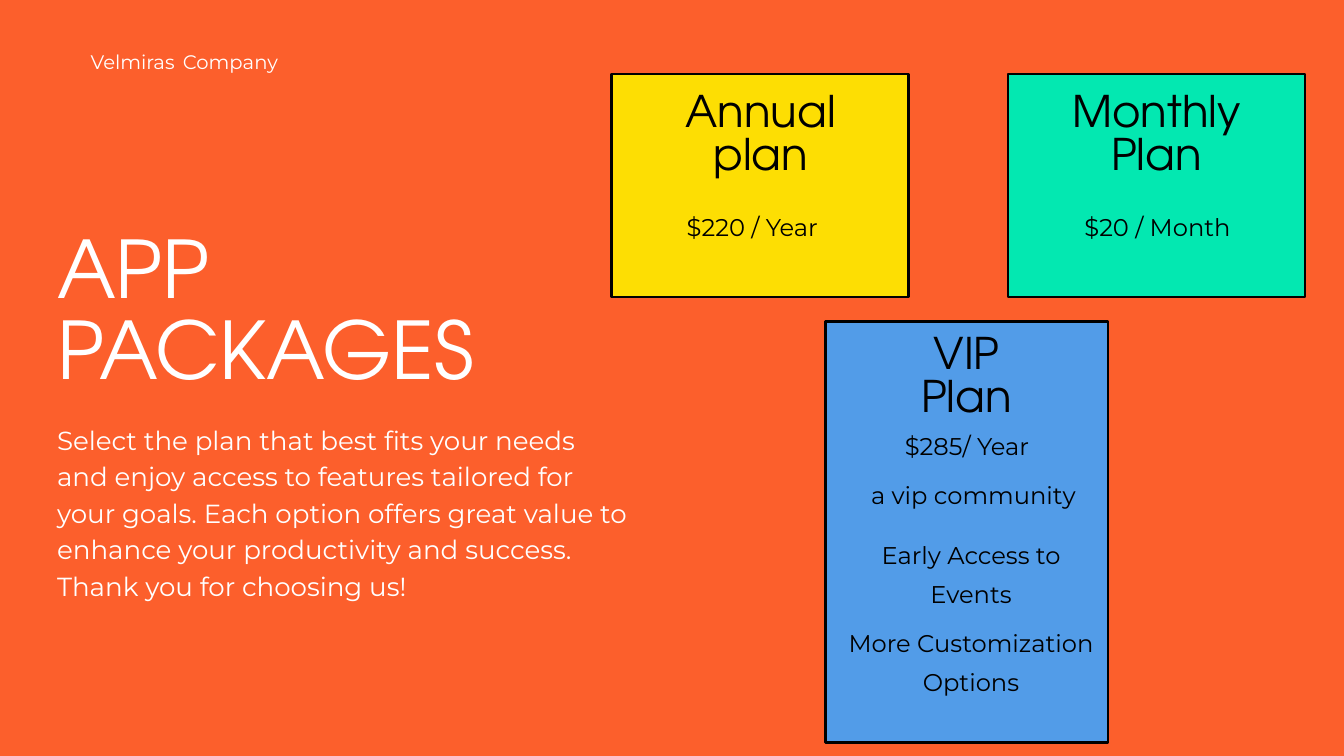
from dataclasses import dataclass

from pptx import Presentation
from pptx.dml.color import RGBColor
from pptx.enum.shapes import MSO_SHAPE as Shape
from pptx.enum.text import MSO_AUTO_SIZE as AutoSize, PP_ALIGN as Align
from pptx.util import Inches, Pt


@dataclass(frozen=True)
class Style:
    name: str
    size: float
    leading: float
    color: str
    alignment: Align = Align.LEFT


class Theme:
    orange, yellow, green, blue = "FC5F2C", "FDDE03", "03E8B1", "529CE8"
    black, white = "000000", "FFFFFF"
    display, body = "TeX Gyre Adventor", "Montserrat"
    border = 3
    heading = Style(display, 85.1, 86.8, white)
    intro = Style(body, 28, 39.2, white)
    company = Style(body, 21, 29.4, white)
    plan = Style(display, 46.7, 46.3, black, Align.CENTER)
    detail = Style(body, 25.9, 41.7, black, Align.CENTER)
    tight = Style(body, 25.9, 22.5, black, Align.CENTER)


def rgb(value):
    return RGBColor.from_string(value)


def add_text(s, box, lines, style):
    """Place one paragraph per line in a box of (left, top, width, height) inches."""
    tf = s.shapes.add_textbox(*map(Inches, box)).text_frame
    frame = dict(margin_left=0, margin_top=0, margin_right=0, margin_bottom=0,
                 word_wrap=True, auto_size=AutoSize.SHAPE_TO_FIT_TEXT)
    for key, value in frame.items():
        setattr(tf, key, value)
    for i, line in enumerate(lines):
        p = tf.paragraphs[0] if i == 0 else tf.add_paragraph()
        p.alignment = style.alignment
        p.line_spacing = Pt(style.leading)
        r = p.add_run()
        r.text = line
        for key, value in dict(name=style.name, size=Pt(style.size)).items():
            setattr(r.font, key, value)
        r.font.color.rgb = rgb(style.color)


def add_plan_card(s, box, fill, texts):
    """Draw a bordered card; each text is (offset box within the card, lines, style)."""
    left, top, _, _ = box
    card = s.shapes.add_shape(Shape.RECTANGLE, *map(Inches, box))
    card.shadow.inherit = False
    card.fill.solid()
    card.fill.fore_color.rgb = rgb(fill)
    card.line.color.rgb = rgb(Theme.black)
    card.line.width = Pt(Theme.border)
    for (dx, dy, width, height), lines, style in texts:
        add_text(s, (left + dx, top + dy, width, height), lines, style)


def add_intro(s, box):
    left, top, width, height = box
    add_text(s, (left + 0.5, top, 1.38, 0.38), ["Velmiras"], Theme.company)
    add_text(s, (left + 1.87, top, 1.83, 0.38), ["Company"], Theme.company)
    add_text(s, (left, top + 2.78, 6.77, 2.62), ["APP PACKAGES"], Theme.heading)
    add_text(s, (left, top + 5.54, width, height - 5.54), [
        "Select the plan that best fits your needs and enjoy access to features "
        "tailored for your goals. Each option offers great value to enhance your "
        "productivity and success. Thank you for choosing us!"], Theme.intro)


def add_plans(s):
    plan, detail = Theme.plan, Theme.detail
    add_plan_card(s, (15, 1.1, 4.42, 3.32), Theme.green, [
        ((0.27, 0.28, 3.88, 1.41), ["Monthly", "Plan"], plan),
        ((0.43, 1.92, 3.59, 0.54), ["$20 / Month"], detail),
    ])
    add_plan_card(s, (9.1, 1.1, 4.42, 3.32), Theme.yellow, [
        ((0.55, 0.28, 3.34, 1.41), ["Annual", "plan"], plan),
        ((0.3, 1.92, 3.59, 0.54), ["$220 / Year"], detail),
    ])
    add_plan_card(s, (12.29, 4.78, 4.2, 6.27), Theme.blue, [
        ((0.26, 0.2, 3.67, 1.41), ["VIP", "Plan"], plan),
        ((0.4, 1.49, 3.4, 0.54), ["$285/ Year"], detail),
        ((0.39, 2.49, 3.61, 0.35), ["a vip community"], Theme.tight),
        ((0.39, 3.11, 3.54, 1.11), ["Early Access to Events"], detail),
        ((0.26, 4.42, 3.8, 1.11), ["More Customization Options"], detail),
    ])


def main():
    prs = Presentation()
    prs.slide_width, prs.slide_height = Inches(20), Inches(11.25)
    s = prs.slides.add_slide(prs.slide_layouts[6])
    s.background.fill.solid()
    s.background.fill.fore_color.rgb = rgb(Theme.orange)
    add_intro(s, (0.85, 0.69, 8.51, 8.26))
    add_plans(s)
    prs.save("out.pptx")


if __name__ == "__main__":
    main()
